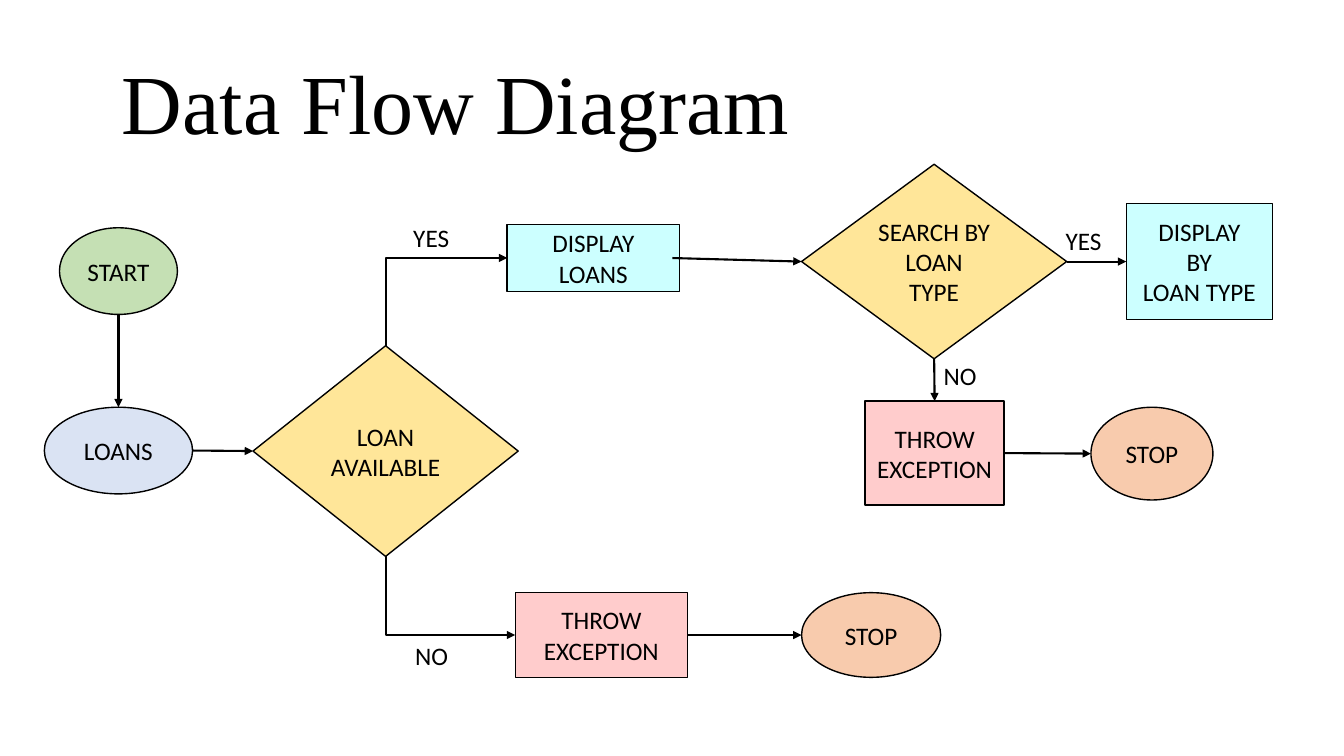
from lxml.etree import SubElement
from pptx import Presentation
from pptx.dml.color import RGBColor
from pptx.enum.shapes import MSO_CONNECTOR, MSO_SHAPE
from pptx.enum.text import MSO_ANCHOR, MSO_AUTO_SIZE, PP_ALIGN
from pptx.oxml.ns import qn
from pptx.util import Inches, Pt

COLORS = {
    "ink": "000000", "start": "C5E0B4", "loans": "DAE3F3", "choice": "FFE699",
    "show": "CCFFFF", "error": "FFCCCC", "stop": "F8CBAD",
}
TOP, LEFT, BOTTOM, RIGHT = range(4)
OVAL, GEM, RECT = MSO_SHAPE.OVAL, MSO_SHAPE.DIAMOND, MSO_SHAPE.RECTANGLE

NODES = {
    "start": (OVAL, "start", "START", 0.15, 0.63, 1.17, 0.86),
    "loans": (OVAL, "loans", "LOANS", 0, 2.41, 1.47, 0.86),
    "check": (GEM, "choice", "LOAN\nAVAILABLE", 2.07, 1.8, 2.63, 2.09),
    "list": (RECT, "show", "DISPLAY LOANS", 4.59, 0.6, 1.71, 0.66),
    "none": (RECT, "error", "THROW EXCEPTION", 4.67, 4.25, 1.71, 0.84),
    "search": (GEM, "choice", "SEARCH BY LOAN TYPE", 7.51, 0, 2.63, 1.93),
    "type": (RECT, "show", "DISPLAY\nBY\nLOAN TYPE", 10.73, 0.39, 1.45, 1.15),
    "fail": (RECT, "error", "THROW EXCEPTION", 8.14, 2.35, 1.38, 1.03),
    "end": (OVAL, "stop", "STOP", 7.51, 4.25, 1.38, 0.84),
    "quit": (OVAL, "stop", "STOP", 10.38, 2.41, 1.21, 0.92),
}
LINKS = [
    ("start", BOTTOM, "loans", TOP, 0),
    ("loans", RIGHT, "check", LEFT, 0),
    ("check", TOP, "list", LEFT, 0),
    ("check", BOTTOM, "none", LEFT, 0),
    ("list", RIGHT, "search", LEFT, 0.07),
    ("none", RIGHT, "end", LEFT, 0),
    ("search", BOTTOM, "fail", TOP, 0),
    ("fail", RIGHT, "quit", LEFT, 0),
    ("search", RIGHT, "type", LEFT, 0),
]
LABELS = [
    ("YES", 3.56, 0.53, 0.95), ("NO", 3.58, 4.67, 0.76),
    ("YES", 10.03, 0.56, 0.65), ("NO", 8.82, 1.9, 0.69),
]


def tint(name):
    """Return the named colour."""
    return RGBColor.from_string(COLORS[name])


def write(shape, text, size=18, font="Calibri", align=PP_ALIGN.LEFT, anchor=MSO_ANCHOR.TOP):
    """Fill a shape with formatted text, one paragraph a line."""
    frame = shape.text_frame
    frame.text = text
    frame.word_wrap = True
    frame.auto_size = MSO_AUTO_SIZE.NONE
    frame.vertical_anchor = anchor
    for para in frame.paragraphs:
        para.alignment = align
        para.font.size = Pt(size)
        para.font.name = font
        para.font.color.rgb = tint("ink")


def node(slide, box, kind, fill, text, x, y, wide, high):
    """Draw one step of the flow inside the box."""
    shape = slide.shapes.add_shape(
        kind, Inches(box[0] + x), Inches(box[1] + y), Inches(wide), Inches(high))
    shape.shadow.inherit = False
    shape.fill.solid()
    shape.fill.fore_color.rgb = tint(fill)
    shape.line.color.rgb = tint("ink")
    shape.line.width = Pt(1)
    write(shape, text, align=PP_ALIGN.CENTER, anchor=MSO_ANCHOR.MIDDLE)
    return shape


def middle(shape, side):
    """Return the middle of one side of a shape."""
    across, down = {TOP: (1, 0), LEFT: (0, 1), BOTTOM: (1, 2), RIGHT: (2, 1)}[side]
    return shape.left + shape.width * across // 2, shape.top + shape.height * down // 2


def bend(line, start, end):
    """Turn a connector into one elbow that leaves vertically."""
    wide, high = abs(end[0] - start[0]), abs(end[1] - start[1])
    line.left = (start[0] + end[0] - high) // 2
    line.top = (start[1] + end[1] - wide) // 2
    line.width, line.height = high, wide
    rising = end[1] < start[1]
    frame = line._element.spPr.find(qn("a:xfrm"))
    frame.set("rot", str((90 if rising else 270) * 60000))
    frame.set("flipH", "1")
    frame.set("flipV", "1" if rising else "0")
    line._element.spPr.find(qn("a:prstGeom")).set("prst", "bentConnector2")


def link(slide, first, out, last, into, inset):
    """Join two steps with an arrow."""
    start, end = middle(first, out), middle(last, into)
    start = start[0] - Inches(inset), start[1]
    bent = out in (TOP, BOTTOM) and into == LEFT
    kind = MSO_CONNECTOR.ELBOW if bent else MSO_CONNECTOR.STRAIGHT
    line = slide.shapes.add_connector(kind, *start, *end)
    if first.auto_shape_type != OVAL and not inset:
        line.begin_connect(first, out)
    if last.auto_shape_type != OVAL or into == TOP:
        line.end_connect(last, into)
    if bent:
        bend(line, start, end)
    line.line.color.rgb = tint("ink")
    line.line.width = Pt(1.5)
    SubElement(line.line._get_or_add_ln(), qn("a:tailEnd"), type="triangle")
    SubElement(line._element.spPr, qn("a:effectLst"))


def head(slide, box):
    """Place the title in its box."""
    title = slide.shapes.title
    title.left, title.top, title.width, title.height = map(Inches, box)
    write(title, "Data Flow Diagram", size=60, font="Times New Roman")


def flow(slide, box):
    """Draw the steps, arrows and labels of the flow."""
    steps = {name: node(slide, box, *spec) for name, spec in NODES.items()}
    for first, out, last, into, inset in LINKS:
        link(slide, steps[first], out, steps[last], into, inset)
    for text, x, y, wide in LABELS:
        label = slide.shapes.add_textbox(
            Inches(box[0] + x), Inches(box[1] + y), Inches(wide), Inches(0.4))
        write(label, text)


def main():
    """Build the slide and save it."""
    deck = Presentation()
    deck.slide_width, deck.slide_height = Inches(13.33), Inches(7.5)
    slide = deck.slides.add_slide(deck.slide_layouts[5])
    head(slide, (1.11, 0.45, 7.53, 1.11))
    flow(slide, (0.44, 1.63, 12.18, 5.09))
    deck.save("out.pptx")


if __name__ == "__main__":
    main()
